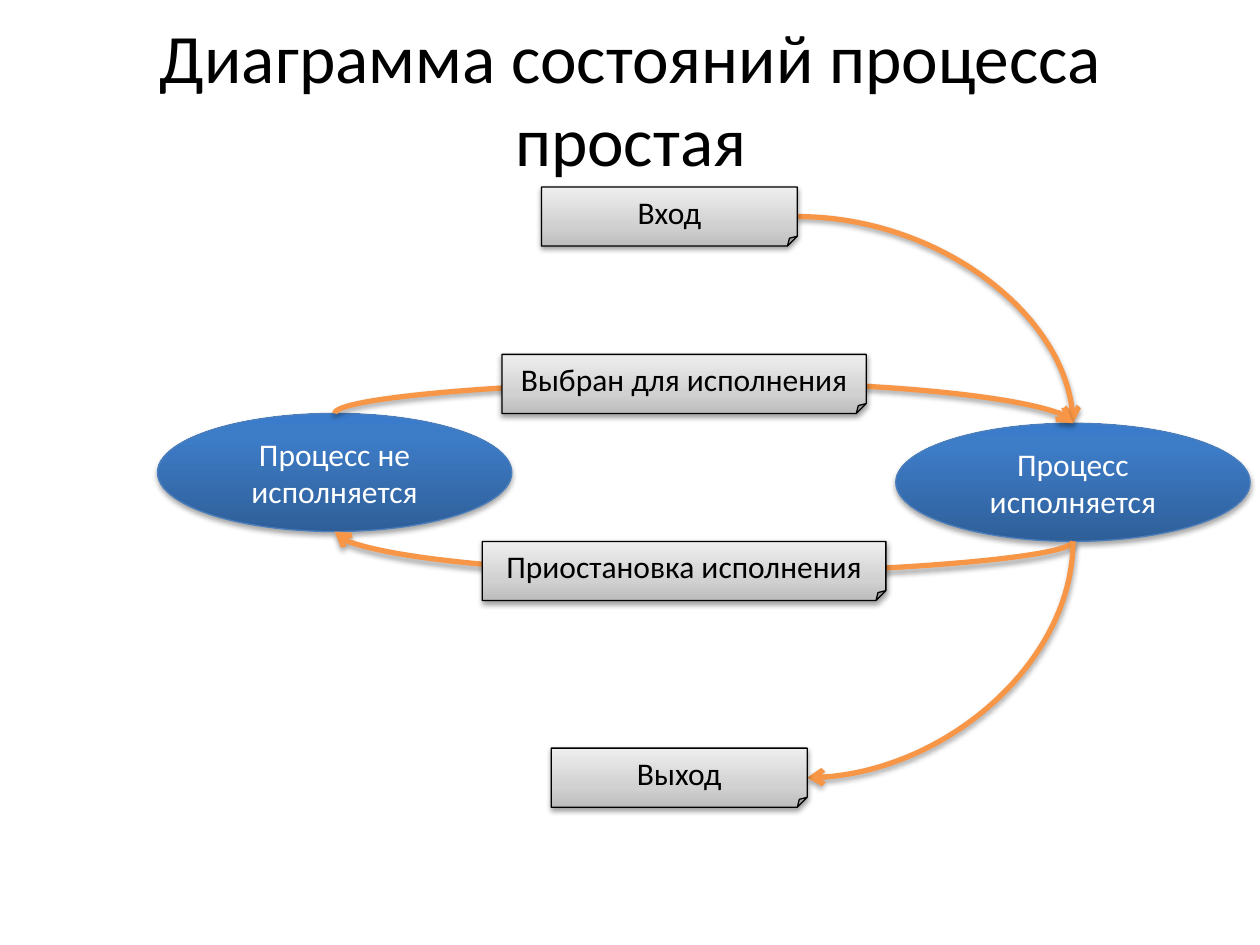
from dataclasses import dataclass

from lxml.etree import SubElement
from pptx import Presentation
from pptx.dml.color import RGBColor
from pptx.enum.shapes import MSO_CONNECTOR, MSO_SHAPE
from pptx.enum.text import MSO_ANCHOR, PP_ALIGN
from pptx.oxml.ns import qn
from pptx.util import Inches, Pt

COLS = 128  # the slide is 128 columns by 96 rows of square cells

# Connection site: index, share of width, share of height
TOP = (0, 0.5, 0)
LOW = (4, 0.5, 1)
RIGHT = (3, 1, 0.5)


@dataclass(frozen=True)
class Look:
    """Fill stops, edge, text colour and shadow of one kind of shape."""
    stops: tuple
    edge: str
    ink: str
    dark: int
    drop: float


@dataclass(frozen=True)
class Theme:
    font: str = "Calibri"
    head: float = 39.6
    body: float = 18
    thin: float = 0.75
    thick: float = 3
    blur: float = 3.15
    ink: str = "000000"
    arc: str = "F79646"
    state: Look = Look(((0, "2F5F99"), (80, "3D7CC7"), (100, "3A7CCB")),
                       "4B7EBC", "FFFFFF", 35, 1.8)
    note: Look = Look(((0, "BDBDBD"), (35, "D1D1D1"), (100, "EEEEEE")),
                      "000000", "000000", 38, 1.6)


def child(node, tag, **attrs):
    return SubElement(node, qn(tag), {k: str(v) for k, v in attrs.items()})


class Board:
    def __init__(self, deck, theme):
        self.theme = theme
        self.cell = deck.slide_width / COLS
        self.slide = deck.slides.add_slide(deck.slide_layouts[6])

    def grid(self, *cells):
        return [round(c * self.cell) for c in cells]

    def label(self, frame, lines, size, ink):
        frame.word_wrap = True
        para = frame.paragraphs[0]
        para.alignment = PP_ALIGN.CENTER
        for i, line in enumerate(lines):
            if i:
                para.add_line_break()
            run = para.add_run()
            run.text = line
            run.font.name = self.theme.font
            run.font.size = Pt(size)
            run.font.color.rgb = RGBColor.from_string(ink)

    def shade(self, shape, dark, drop):
        """Add a soft shadow below; the line must be set first."""
        props = shape._element.spPr
        cast = child(child(props, "a:effectLst"), "a:outerShdw",
                     blurRad=Pt(self.theme.blur), dist=Pt(drop),
                     dir=90 * 60000, rotWithShape=0)
        tint = child(cast, "a:srgbClr", val=self.theme.ink)
        child(tint, "a:alpha", val=dark * 1000)

    def title(self, *lines):
        box = self.slide.shapes.add_textbox(
            Inches(0.28), Inches(0.06), Inches(9.45), Inches(1.25))
        box.text_frame.vertical_anchor = MSO_ANCHOR.TOP
        self.label(box.text_frame, lines, self.theme.head, self.theme.ink)

    def block(self, kind, look, cells, text):
        shape = self.slide.shapes.add_shape(kind, *self.grid(*cells))
        shape.fill.gradient()
        shape.fill.gradient_angle = 90
        stops = shape._element.spPr.find(qn("a:gradFill")).find(qn("a:gsLst"))
        stops.clear()
        for place, tint in look.stops:
            stop = child(stops, "a:gs", pos=place * 1000)
            child(stop, "a:srgbClr", val=tint)
        shape.line.color.rgb = RGBColor.from_string(look.edge)
        shape.line.width = Pt(self.theme.thin)
        self.shade(shape, look.dark, look.drop)
        shape.text_frame.vertical_anchor = MSO_ANCHOR.MIDDLE
        self.label(shape.text_frame, [text], self.theme.body, look.ink)
        return shape

    def state(self, x, y, text):
        return self.block(MSO_SHAPE.OVAL, self.theme.state,
                          (x, y, 36, 12), text)

    def note(self, x, y, wide, text):
        return self.block(MSO_SHAPE.FOLDED_CORNER, self.theme.note,
                          (x, y, wide, 6), text)

    def link(self, start, end, turn=0, bulge=None):
        """Join two (shape, site) pairs by an arc turned by some degrees.

        A bulge is how far a U-shaped arc swings out, as a share of its depth.
        """
        (x1, y1), (x2, y2) = [
            (s.left + s.width * fx, s.top + s.height * fy)
            for s, (_, fx, fy) in (start, end)]
        mx, my = (x1 + x2) / 2, (y1 + y2) / 2
        dx, dy = abs(x2 - x1) / 2, abs(y2 - y1) / 2
        if turn % 180:
            dx, dy = dy, dx
        arc = self.slide.shapes.add_connector(
            MSO_CONNECTOR.CURVE, *map(round, (mx - dx, my - dy,
                                              mx + dx, my + dy)))
        props = arc._element.spPr
        frame = props.find(qn("a:xfrm"))
        frame.set("rot", str(turn * 60000))
        form = props.find(qn("a:prstGeom"))
        if bulge is None:
            form.set("prst", "curvedConnector2")
        else:
            frame.set("flipH", "1")
            child(form.find(qn("a:avLst")), "a:gd", name="adj1",
                  fmla=f"val {round(-bulge * 100000)}")
        ties = arc._element.nvCxnSpPr.cNvCxnSpPr
        for tag, (shape, site) in (("a:stCxn", start), ("a:endCxn", end)):
            child(ties, tag, id=shape.shape_id, idx=site[0])
        arc.line.color.rgb = RGBColor.from_string(self.theme.arc)
        arc.line.width = Pt(self.theme.thick)
        child(props.find(qn("a:ln")), "a:tailEnd", type="arrow")
        self.shade(arc, self.theme.state.dark, self.theme.state.drop)
        return arc

    def raise_up(self, *shapes):
        """Bring shapes to the front, the last one topmost."""
        for shape in shapes:
            self.slide.shapes._spTree.append(shape._element)


def main():
    deck = Presentation()
    deck.slide_width, deck.slide_height = Inches(10), Inches(7.5)
    board = Board(deck, Theme())
    board.title("Диаграмма состояний процесса", "простая")

    runs = board.state(91, 43, "Процесс исполняется")
    waits = board.state(16, 42, "Процесс не исполняется")
    entry = board.note(55, 19, 26, "Вход")
    leave = board.note(56, 76, 26, "Выход")
    pause = board.note(49, 55, 41, "Приостановка исполнения")
    pick = board.note(51, 36, 37, "Выбран для исполнения")

    board.link((entry, RIGHT), (runs, TOP))
    board.link((waits, TOP), (runs, TOP), 270, 3.2)
    board.link((runs, LOW), (waits, LOW), 90, 3.2)
    board.link((runs, LOW), (leave, RIGHT), 90)
    board.raise_up(entry, leave, pause, pick)

    deck.save("out.pptx")


if __name__ == "__main__":
    main()
